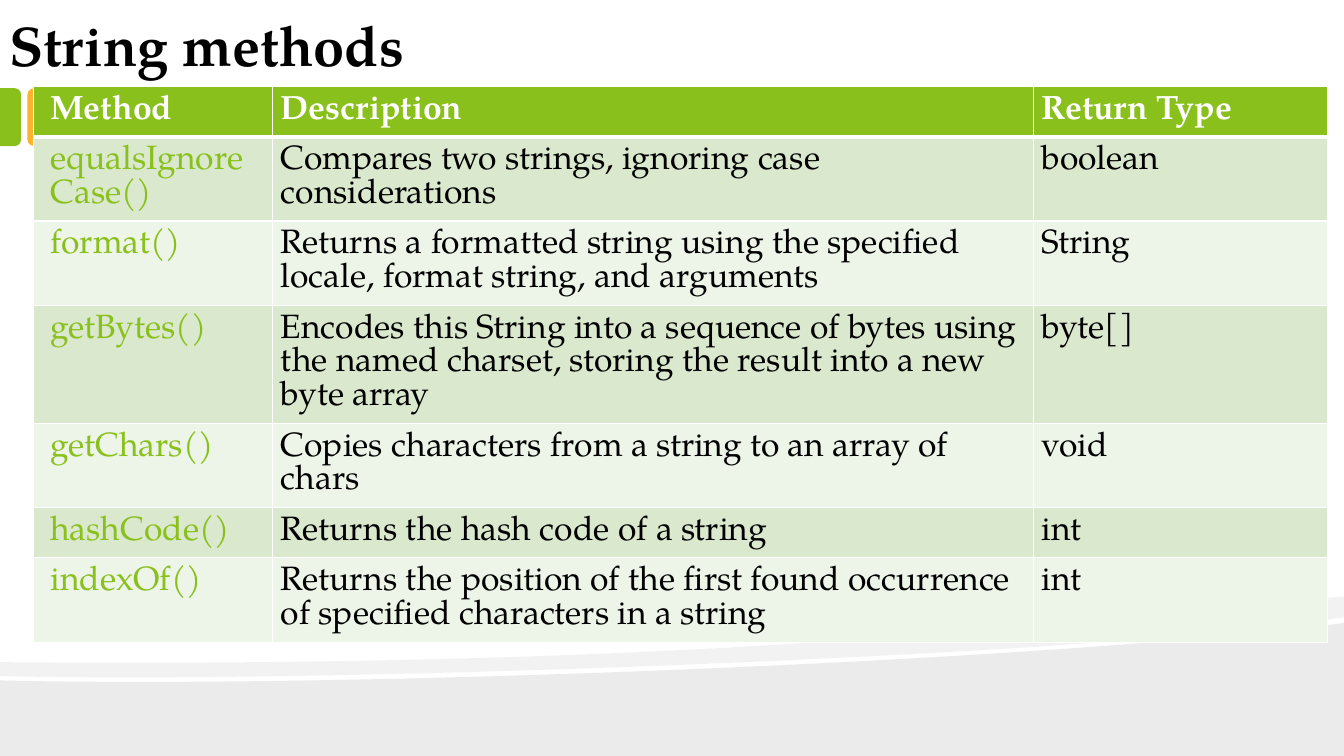
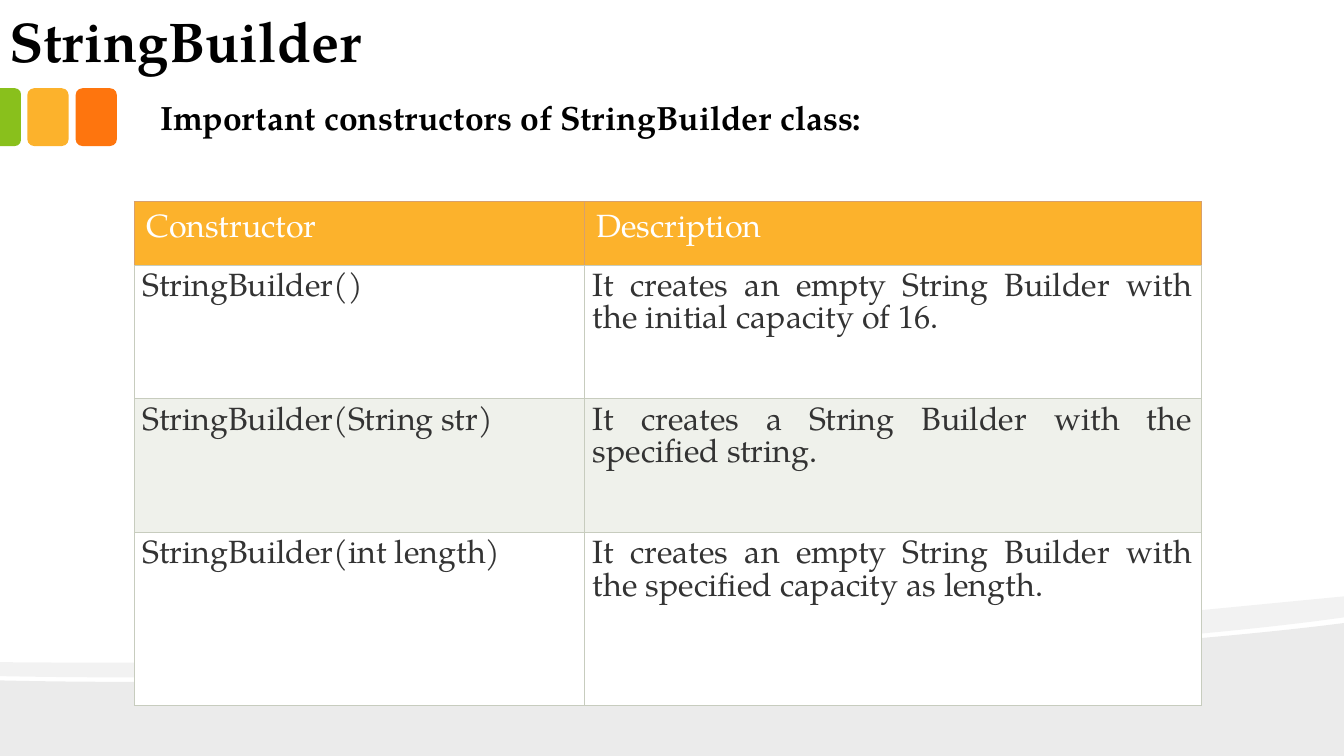
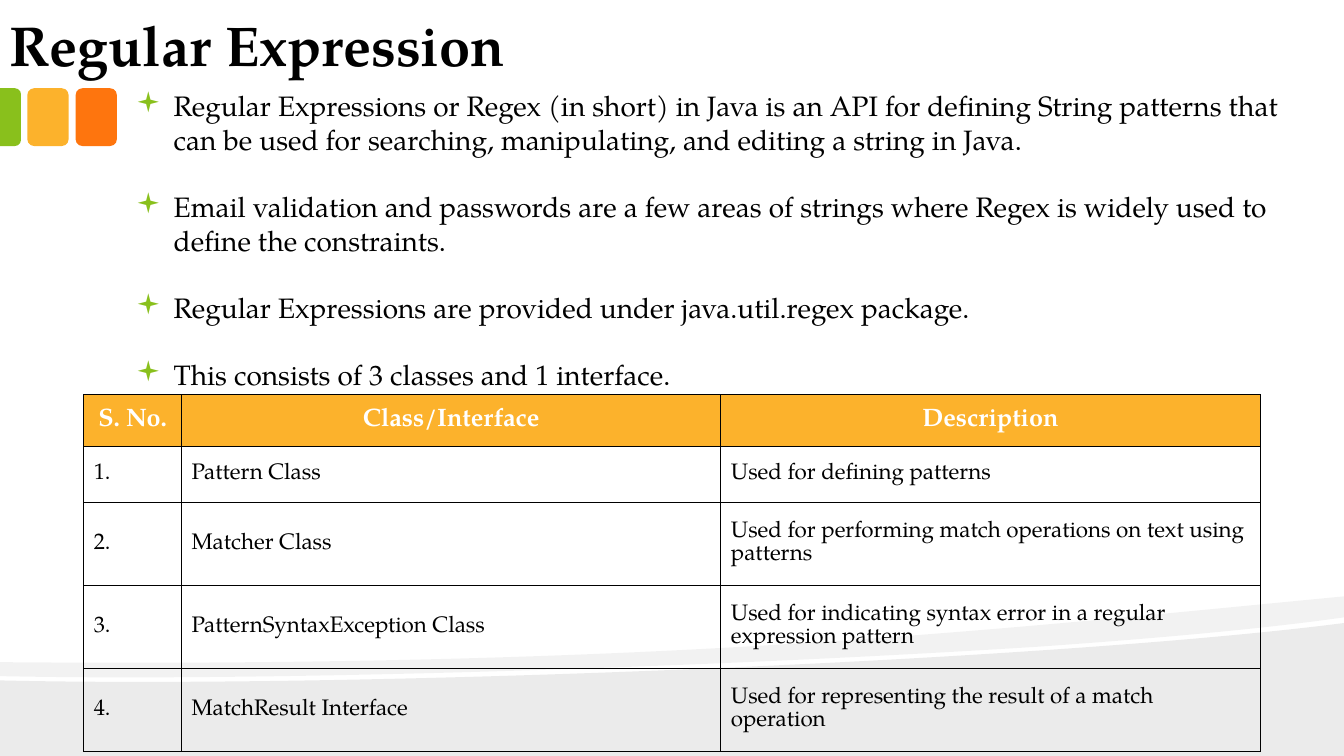
import dataclasses

import pptx
import pptx.dml.color
import pptx.enum.shapes
import pptx.enum.text
import pptx.oxml
import pptx.oxml.ns
import pptx.util

Pt = pptx.util.Pt
RGBColor = pptx.dml.color.RGBColor
Shape = pptx.enum.shapes.MSO_SHAPE
Align = pptx.enum.text.PP_ALIGN
Anchor = pptx.enum.text.MSO_ANCHOR

BLACK = RGBColor(0x00, 0x00, 0x00)
WHITE = RGBColor(0xFF, 0xFF, 0xFF)
CHARCOAL = RGBColor(0x33, 0x33, 0x33)
GREEN = RGBColor(0x89, 0xC0, 0x1C)
AMBER = RGBColor(0xFC, 0xB2, 0x2C)
ORANGE = RGBColor(0xFE, 0x75, 0x0E)
LEAF = RGBColor(0xDA, 0xE8, 0xCD)
PALE_LEAF = RGBColor(0xED, 0xF4, 0xE8)
MIST = RGBColor(0xEF, 0xF1, 0xEB)
SAGE = RGBColor(0xC7, 0xCC, 0xBE)
TAN = RGBColor(0xD8, 0xA0, 0x6C)

FONT = "TeX Gyre Pagella"
WIDTH, HEIGHT = 960, 540
TITLE_BOX = (-2.5, 0.5, 747, 60)
TILES_BOX = (0, 63, 83.5, 41.3)
TEXT_LEADING = 1.2


@dataclasses.dataclass
class TableLook:
    header_fill: RGBColor
    body_fills: tuple
    line: tuple
    header_line: tuple
    header_bottom: tuple
    header_font: dict
    body_font: dict
    body_color: RGBColor
    header_inset: tuple
    body_inset: tuple
    first_color: RGBColor = None
    first_left: float = None
    header_align: Align = Align.LEFT
    body_align: Align = Align.LEFT
    anchor: Anchor = Anchor.TOP


METHODS_LOOK = TableLook(
    GREEN, (LEAF, PALE_LEAF), (WHITE, 1), (WHITE, 1), (WHITE, 3),
    {"size": Pt(24), "bold": True}, {"size": Pt(24)}, BLACK,
    (6, 6), (6, 6), first_color=GREEN, first_left=12)
CONSTRUCTORS_LOOK = TableLook(
    AMBER, (WHITE, MIST), (SAGE, 0.75), (TAN, 0.75), (SAGE, 0.75),
    {"size": Pt(23)}, {"size": Pt(23)}, CHARCOAL,
    (8.6, 9), (6, 6), body_align=Align.JUSTIFY)
REGEX_LOOK = TableLook(
    AMBER, (None,), (BLACK, 1), (BLACK, 1), (BLACK, 1),
    {"size": Pt(18), "bold": True}, {"size": Pt(16)}, BLACK,
    (7.2, 7.2), (7.2, 10.8), header_align=Align.CENTER, anchor=Anchor.MIDDLE)

METHOD_ROWS = [
    ("Method", "Description", "Return Type"),
    ("equalsIgnoreCase()", "Compares two strings, ignoring case considerations", "boolean"),
    ("format()", "Returns a formatted string using the specified locale, format string, "
     "and arguments", "String"),
    ("getBytes()", "Encodes this String into a sequence of bytes using the named charset, "
     "storing the result into a new byte array", "byte[]"),
    ("getChars()", "Copies characters from a string to an array of chars", "void"),
    ("hashCode()", "Returns the hash code of a string", "int"),
    ("indexOf()", "Returns the position of the first found occurrence of specified "
     "characters in a string", "int"),
]
CONSTRUCTOR_ROWS = [
    ("Constructor", "Description"),
    ("StringBuilder()",
     "It creates an empty String Builder with the initial capacity of 16."),
    ("StringBuilder(String str)", "It creates a String Builder with the specified string."),
    ("StringBuilder(int length)",
     "It creates an empty String Builder with the specified capacity as length."),
]
REGEX_ROWS = [
    ("S. No.", "Class/Interface", "Description"),
    ("1.", "Pattern Class", "Used for defining patterns"),
    ("2.", "Matcher Class", "Used for performing match operations on text using patterns"),
    ("3.", "PatternSyntaxException Class",
     "Used for indicating syntax error in a regular expression pattern"),
    ("4.", "MatchResult Interface",
     "Used for representing the result of a match operation"),
]
REGEX_POINTS = [
    "Regular Expressions or Regex (in short) in Java is an API for defining String patterns "
    "that can be used for searching, manipulating, and editing a string in Java.",
    "Email validation and passwords are a few areas of strings where Regex is widely used "
    "to define the constraints.",
    "Regular Expressions are provided under java.util.regex package.",
    "This consists of 3 classes and 1 interface.",
]


def apply(target, formats):
    for name, value in formats.items():
        setattr(target, name, value)


def xml(markup):
    return pptx.oxml.parse_xml(
        markup.replace(" ", f" {pptx.oxml.ns.nsdecls('a')} ", 1))


def write(paragraph, text, color, font, leading=TEXT_LEADING):
    paragraph.text = text
    paragraph.line_spacing = Pt(font["size"].pt * leading)
    apply(paragraph.runs[0].font, {"name": FONT, **font})
    paragraph.runs[0].font.color.rgb = color


def paint(shape, color, opacity=100):
    shape.shadow.inherit = False
    shape.fill.solid()
    shape.fill.fore_color.rgb = color
    shape.line.fill.background()
    if opacity < 100:
        tint = shape.fill._xPr.find(".//" + pptx.oxml.ns.qn("a:srgbClr"))
        tint.append(xml(f'<a:alpha val="{opacity * 1000}"/>'))


def add_wave(slide, start, segments, opacity):
    builder = slide.shapes.build_freeform(*start, scale=Pt(1))
    for segment in segments:
        builder.add_line_segments(segment, close=False)
    builder.add_line_segments([], close=True)
    wave = builder.convert_to_shape()
    lines = iter(wave._element.findall(".//" + pptx.oxml.ns.qn("a:lnTo")))
    for segment in segments:
        steps = [next(lines) for _ in segment]
        if len(steps) == 3:
            curve = xml("<a:cubicBezTo />")
            steps[0].addprevious(curve)
            for step in steps:
                curve.append(step[0])
                step.getparent().remove(step)
    paint(wave, BLACK, opacity)


def add_waves(slide, box):
    left, top, width, height = box
    bottom = top + height

    def at(x, y):
        return left + x, bottom - y

    add_wave(slide, at(width, 95), [
        [at(width, 0)], [at(0, 0)], [at(0, 54)],
        [at(253.4, 48.2), at(750.2, 68.4), at(width, 95)]], 8)
    add_wave(slide, at(width, 113.8), [
        [at(width, 99.4)],
        [at(903.6, 91.4), at(827.3, 84.2), at(740.9, 78.5)],
        [at(502.6, 62.6), at(185.8, 52.6), at(0, 56.9)],
        [at(0, 67)],
        [at(469.4, 63.4), at(699.1, 88.6), at(width, 113.8)]], 5)


def add_tiles(slide, box):
    left, top, width, height = box
    tile, pitch, stub = 29.5, 34.5, 15
    for index, color in enumerate((ORANGE, AMBER)):
        paint(slide.shapes.add_shape(
            Shape.ROUNDED_RECTANGLE, Pt(left + width - tile - index * pitch),
            Pt(top), Pt(tile), Pt(height)), color)
    edge = slide.shapes.add_shape(
        Shape.ROUND_2_SAME_RECTANGLE, Pt(left + (stub - height) / 2),
        Pt(top + (height - stub) / 2), Pt(height), Pt(stub))
    edge.rotation = 90
    edge.adjustments[0] = 0.29
    paint(edge, GREEN)


def add_text_frame(slide, box, margins=(7.2, 3.6), anchor=Anchor.TOP):
    frame = slide.shapes.add_textbox(*map(Pt, box)).text_frame
    side, end = map(Pt, margins)
    apply(frame, {"word_wrap": True, "vertical_anchor": anchor,
                  "margin_left": side, "margin_right": side,
                  "margin_top": end, "margin_bottom": end})
    return frame


def add_title(slide, box, title):
    frame = add_text_frame(slide, box, (9.4, 5), Anchor.BOTTOM)
    write(frame.paragraphs[0], title, BLACK, {"size": Pt(40), "bold": True})


def add_heading(slide, box, heading):
    frame = add_text_frame(slide, box)
    write(frame.paragraphs[0], heading, BLACK, {"size": Pt(24), "bold": True})


def add_bullets(slide, box, points):
    frame = add_text_frame(slide, box)
    indent = Pt(27)
    for index, point in enumerate(points):
        paragraph = frame.add_paragraph() if index else frame.paragraphs[0]
        properties = paragraph._p.get_or_add_pPr()
        properties.set("marL", str(indent))
        properties.set("indent", str(-indent))
        properties.append(xml(f'<a:buClr ><a:srgbClr val="{GREEN}"/></a:buClr>'))
        properties.append(xml('<a:buFont typeface="Wingdings"/>'))
        properties.append(xml('<a:buChar char="▪"/>'))
        write(paragraph, point, BLACK, {"size": Pt(20)})
        if index:
            paragraph.space_before = Pt(24)


def set_borders(cell, edges):
    properties = cell._tc.get_or_add_tcPr()
    for index, (side, (color, weight)) in enumerate(edges.items()):
        properties.insert(index, xml(
            f'<a:ln{side} w="{int(Pt(weight))}"><a:solidFill><a:srgbClr val="{color}"/>'
            f'</a:solidFill></a:ln{side}>'))


def format_cell(cell, text, row, column, look):
    header = row == 0
    fill = look.header_fill if header else look.body_fills[(row - 1) % len(look.body_fills)]
    if fill is None:
        cell.fill.background()
    else:
        cell.fill.solid()
        cell.fill.fore_color.rgb = fill

    line = look.header_line if header else look.line
    set_borders(cell, {"L": line, "R": line, "T": line,
                       "B": look.header_bottom if header else line})

    side, end = look.header_inset if header else look.body_inset
    first = look.first_left if column == 0 and look.first_left else side
    apply(cell, {"margin_left": Pt(first), "margin_right": Pt(side),
                 "margin_top": Pt(end), "margin_bottom": Pt(end),
                 "vertical_anchor": look.anchor})

    color = WHITE if header else look.body_color
    if column == 0 and not header and look.first_color:
        color = look.first_color
    paragraph = cell.text_frame.paragraphs[0]
    write(paragraph, text, color, look.header_font if header else look.body_font, 1)
    paragraph.alignment = look.header_align if header else look.body_align


def add_grid(slide, origin, widths, heights, rows, look):
    table = slide.shapes.add_table(
        len(rows), len(widths), *map(Pt, (*origin, sum(widths), sum(heights)))).table
    apply(table, {"first_row": False, "horz_banding": False})
    for column, width in zip(table.columns, widths):
        column.width = Pt(width)
    for row, height in zip(table.rows, heights):
        row.height = Pt(height)
    for r, texts in enumerate(rows):
        for c, text in enumerate(texts):
            format_cell(table.cell(r, c), text, r, c, look)


def add_base(deck, title, title_shift=0):
    slide = deck.slides.add_slide(deck.slide_layouts[6])
    add_waves(slide, (0, 0, WIDTH, HEIGHT))
    add_tiles(slide, TILES_BOX)
    left, top, width, height = TITLE_BOX
    add_title(slide, (left, top + title_shift, width, height), title)
    return slide


def add_methods_slide(deck):
    slide = add_base(deck, "String methods")
    add_grid(slide, (24, 61.9), (170.6, 543.4, 210), (36, 60, 60.4, 84.2, 60, 36, 60.2),
             METHOD_ROWS, METHODS_LOOK)


def add_builder_slide(deck):
    slide = add_base(deck, "StringBuilder", -3)
    add_heading(slide, (107.7, 66, 823, 36), "Important constructors of StringBuilder class:")
    add_grid(slide, (96, 144), (321.4, 440.8), (45.5, 95.3, 95.6, 123.6),
             CONSTRUCTOR_ROWS, CONSTRUCTORS_LOOK)


def add_regex_slide(deck):
    slide = add_base(deck, "Regular Expression")
    add_bullets(slide, (90, 60, 858, 230), REGEX_POINTS)
    add_grid(slide, (59.8, 282), (69.9, 385.2, 385.2), (36.8, 40.2, 59.3, 59.3, 59.3),
             REGEX_ROWS, REGEX_LOOK)


def main():
    deck = pptx.Presentation()
    apply(deck, {"slide_width": Pt(WIDTH), "slide_height": Pt(HEIGHT)})
    add_methods_slide(deck)
    add_builder_slide(deck)
    add_regex_slide(deck)
    deck.save("out.pptx")


if __name__ == "__main__":
    main()
